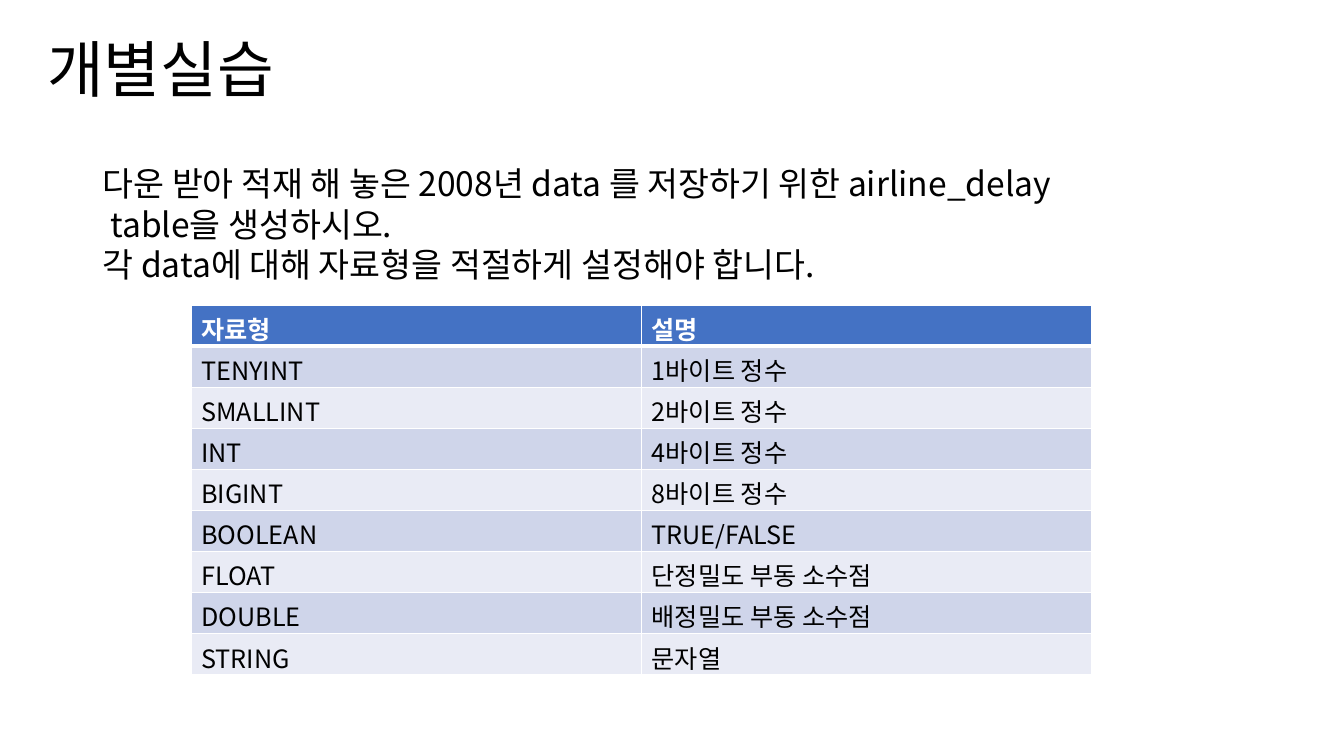
import dataclasses

import pptx
import pptx.dml.color
import pptx.enum.text
import pptx.oxml.ns
import pptx.util
from lxml import etree

Cm = pptx.util.Cm
Pt = pptx.util.Pt
qn = pptx.oxml.ns.qn


@dataclasses.dataclass(frozen=True)
class Theme:
    font: str = "Noto Sans CJK KR"
    title_size: int = 44
    body_size: int = 24
    table_size: int = 18
    ink: str = "000000"
    paper: str = "FFFFFF"
    header_fill: str = "4472C4"
    band_fills: tuple = ("CFD5EA", "E9EBF5")
    thin_border: int = 1
    thick_border: int = 3


THEME = Theme()

TITLE = "개별실습"
TASK = [
    ["다운 받아 적재 해 놓은 2008년 data 를 저장하기 위한 airline_delay", " table을 생성하시오."],
    ["각 data에 대해 자료형을 적절하게 설정해야 합니다."],
]
TYPES = [
    ("자료형", "설명"),
    ("TENYINT", "1바이트 정수"),
    ("SMALLINT", "2바이트 정수"),
    ("INT", "4바이트 정수"),
    ("BIGINT", "8바이트 정수"),
    ("BOOLEAN", "TRUE/FALSE"),
    ("FLOAT", "단정밀도 부동 소수점"),
    ("DOUBLE", "배정밀도 부동 소수점"),
    ("STRING", "문자열"),
]


def color(code):
    return pptx.dml.color.RGBColor.from_string(code)


def add_span(para, text, size, ink=THEME.ink, bold=False):
    span = para.add_run()
    span.text = text
    font = span.font
    font.name = THEME.font
    font.size = Pt(size)
    font.bold = bold
    font.color.rgb = color(ink)
    east_asian = etree.SubElement(span.font._element, qn("a:ea"))
    east_asian.set("typeface", THEME.font)


def add_title(page, box):
    frame = page.shapes.add_textbox(*box).text_frame
    frame.word_wrap = True
    frame.vertical_anchor = pptx.enum.text.MSO_ANCHOR.MIDDLE
    para = frame.paragraphs[0]
    para.line_spacing = 0.9
    add_span(para, TITLE, THEME.title_size)


def add_task(page, box):
    frame = page.shapes.add_textbox(*box).text_frame
    frame.word_wrap = False
    frame.auto_size = pptx.enum.text.MSO_AUTO_SIZE.SHAPE_TO_FIT_TEXT
    for index, lines in enumerate(TASK):
        para = frame.add_paragraph() if index else frame.paragraphs[0]
        for number, line in enumerate(lines):
            if number:
                para.add_line_break()
            add_span(para, line, THEME.body_size)


def set_borders(cell, widths):
    """Draw the left, right, top and bottom borders; call before filling the cell."""
    properties = cell._tc.get_or_add_tcPr()
    for side, width in zip(("lnL", "lnR", "lnT", "lnB"), widths):
        line = etree.SubElement(properties, qn(f"a:{side}"), w=str(Pt(width)))
        fill = etree.SubElement(line, qn("a:solidFill"))
        etree.SubElement(fill, qn("a:srgbClr"), val=THEME.paper)


def add_type_table(page, box):
    left, top, width, height = box
    table = page.shapes.add_table(len(TYPES), len(TYPES[0]), left, top, width, height).table
    thin, thick = THEME.thin_border, THEME.thick_border
    for row, texts in enumerate(TYPES):
        header = row == 0
        fill = THEME.header_fill if header else THEME.band_fills[(row - 1) % 2]
        ink = THEME.paper if header else THEME.ink
        widths = (thin, thin, thick if row == 1 else thin, thick if header else thin)
        for column, text in enumerate(texts):
            cell = table.cell(row, column)
            set_borders(cell, widths)
            cell.fill.solid()
            cell.fill.fore_color.rgb = color(fill)
            add_span(cell.text_frame.paragraphs[0], text, THEME.table_size, ink, header)


def main():
    deck = pptx.Presentation()
    deck.slide_width, deck.slide_height = Cm(33.87), Cm(19.05)
    page = deck.slides.add_slide(deck.slide_layouts[6])
    add_title(page, (Cm(0.94), Cm(0), Cm(29.21), Cm(3.68)))
    add_task(page, (Cm(2.34), Cm(3.99), Cm(26.42), Cm(3.33)))
    add_type_table(page, (Cm(4.82), Cm(7.69), Cm(22.7), Cm(9.32)))
    deck.save("out.pptx")


if __name__ == "__main__":
    main()
